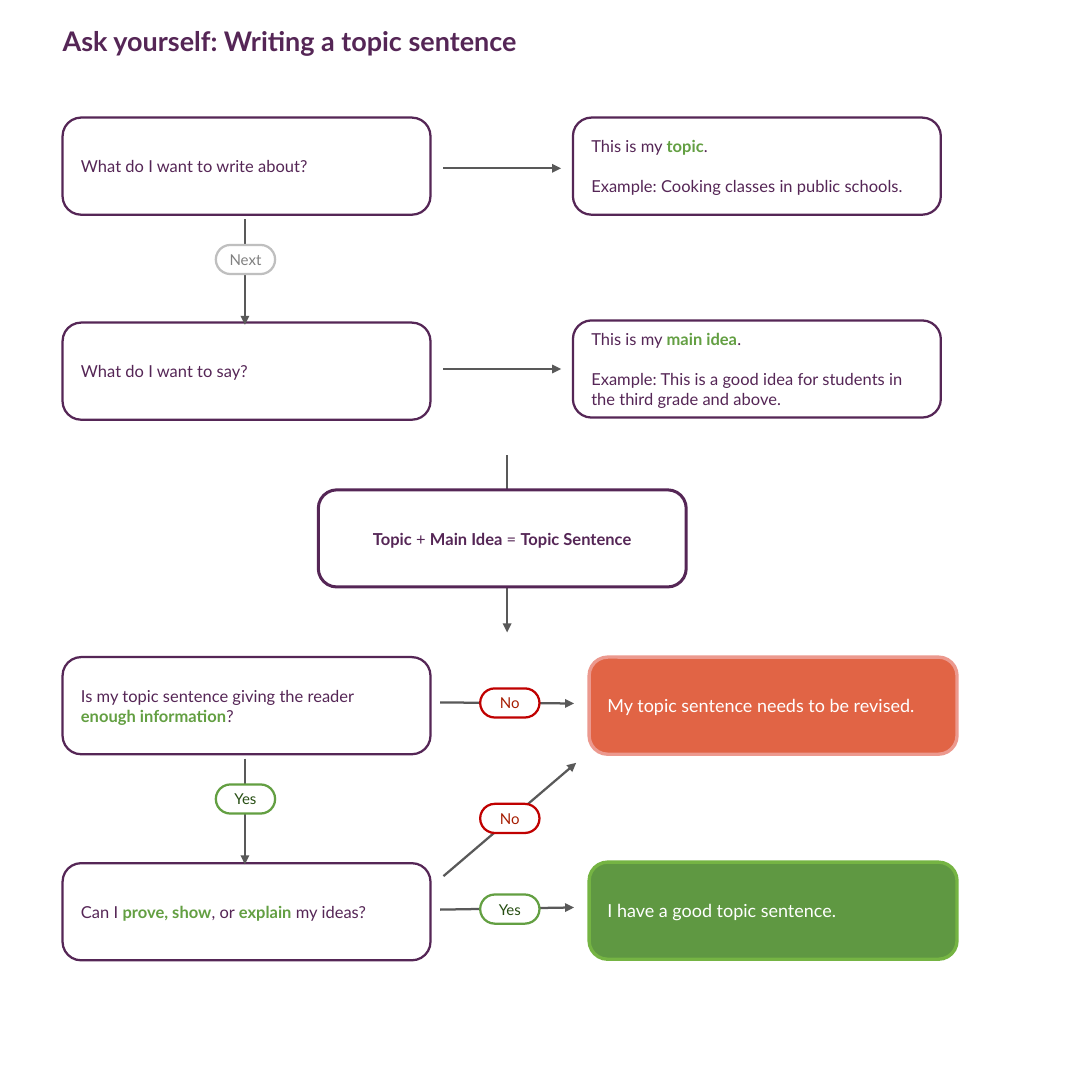
"""Builds a flowchart slide about writing a topic sentence."""
from lxml import etree
from pptx import Presentation
from pptx.dml.color import RGBColor
from pptx.enum.shapes import MSO_CONNECTOR, MSO_SHAPE
from pptx.enum.text import MSO_ANCHOR, PP_ALIGN
from pptx.oxml.ns import qn
from pptx.util import Inches, Pt

ROUNDED = MSO_SHAPE.ROUNDED_RECTANGLE
STRAIGHT = MSO_CONNECTOR.STRAIGHT
MIDDLE = MSO_ANCHOR.MIDDLE
LEFT, CENTER = PP_ALIGN.LEFT, PP_ALIGN.CENTER

FONT = "Lato"
WHITE = RGBColor(0xFF, 0xFF, 0xFF)
PURPLE = RGBColor(0x55, 0x26, 0x56)
GREEN = RGBColor(0x63, 0x9F, 0x42)
DARK_GREEN = RGBColor(0x27, 0x4E, 0x13)
GOOD_FILL = RGBColor(0x5F, 0x98, 0x42)
GOOD_LINE = RGBColor(0x75, 0xB4, 0x43)
REVISE_FILL = RGBColor(0xE1, 0x64, 0x45)
REVISE_LINE = RGBColor(0xEC, 0x99, 0x8E)
RED = RGBColor(0xC0, 0x00, 0x00)
DARK_RED = RGBColor(0xA6, 0x1C, 0x00)
SILVER = RGBColor(0xBF, 0xBF, 0xBF)
GRAY = RGBColor(0x80, 0x80, 0x80)
ARROW_GRAY = RGBColor(0x59, 0x59, 0x59)

BOX_WIDTH, BOX_HEIGHT = 3.41, 0.9
PILL_WIDTH, PILL_HEIGHT = 0.55, 0.27
QUESTION_LEFT, ANSWER_LEFT, RESULT_LEFT = 0.58, 5.31, 5.46
DOWN_X, PILL_LEFT, PILL_RIGHT = 2.27, 2, 4.45
INSET = 0.12

QUESTIONS = [
    (1.09, "What do I want to write about?"),
    (2.99, "What do I want to say?"),
    (6.09, "Is my topic sentence giving the reader *enough information*?"),
    (8, "Can I *prove, show*, or *explain* my ideas?"),
]
ANSWERS = [
    (1.09, ["This is my *topic*.", "Example: Cooking classes in public schools."]),
    (2.97, ["This is my *main idea*.",
            "Example: This is a good idea for students in the third grade and above."]),
]
RESULTS = [
    (6.09, "My topic sentence needs to be revised.", REVISE_FILL, REVISE_LINE),
    (7.99, "I have a good topic sentence.", GOOD_FILL, GOOD_LINE),
]
ARROWS = [
    (4.11, 1.56, 5.2, 1.56),
    (4.11, 3.42, 5.2, 3.42),
    (DOWN_X, 2.03, DOWN_X, 3.01),
    (4.7, 4.22, 4.7, 5.86),
    (DOWN_X, 7.03, DOWN_X, 8.01),
    (4.08, 6.51, 5.32, 6.52),
    (4.11, 8.12, 5.34, 7.07),
    (4.08, 8.43, 5.32, 8.41),
]
NEXT = ("Next", SILVER, GRAY)
YES = ("Yes", GREEN, DARK_GREEN)
NO = ("No", RED, DARK_RED)
PILLS = [
    (PILL_LEFT, 2.27, NEXT),
    (PILL_LEFT, 7.27, YES),
    (PILL_RIGHT, 6.38, NO),
    (PILL_RIGHT, 7.45, NO),
    (PILL_RIGHT, 8.29, YES),
]


def write_text(frame, lines, size, color, accent, align=LEFT, side_inset=INSET):
    """Writes paragraphs whose *starred* parts are bold in the accent colour."""
    frame.word_wrap = True
    frame.margin_left = frame.margin_right = Inches(side_inset)
    frame.margin_top = frame.margin_bottom = Inches(INSET)
    for index, line in enumerate(lines):
        para = frame.add_paragraph() if index else frame.paragraphs[0]
        para.alignment = align
        if index:
            para.space_before = Pt(size * 1.2)
        for position, part in enumerate(line.split("*")):
            if not part:
                continue
            strong = position % 2 == 1
            span = para.add_run()
            span.text = part
            span.font.name = FONT
            span.font.size = Pt(size)
            span.font.bold = strong
            span.font.color.rgb = accent if strong else color


def add_rounded(page, left, top, width, height, corner, fill, line, weight):
    """Adds a rounded outline shape and returns its text frame."""
    box = page.shapes.add_shape(
        ROUNDED, Inches(left), Inches(top), Inches(width), Inches(height))
    box.adjustments[0] = corner
    box.shadow.inherit = False
    box.fill.solid()
    box.fill.fore_color.rgb = fill
    box.line.color.rgb = line
    box.line.width = Pt(weight)
    box.text_frame.vertical_anchor = MIDDLE
    return box.text_frame


def add_box(page, left, top, lines, fill=WHITE, line=PURPLE, weight=1.5,
            size=11, color=PURPLE, accent=GREEN, align=LEFT):
    """Adds one flowchart box."""
    frame = add_rounded(page, left, top, BOX_WIDTH, BOX_HEIGHT, 0.191, fill, line, weight)
    write_text(frame, lines, size, color, accent, align)


def add_pill(page, left, top, label, line, color):
    """Adds a small label that sits on an arrow."""
    frame = add_rounded(page, left, top, PILL_WIDTH, PILL_HEIGHT, 0.5, WHITE, line, 1.5)
    write_text(frame, [label], 10, color, color, CENTER, 0)


def add_arrow(page, *ends):
    """Adds a straight arrow between two points."""
    arrow = page.shapes.add_connector(STRAIGHT, *map(Inches, ends))
    arrow.line.color.rgb = ARROW_GRAY
    arrow.line.width = Pt(1.5)
    etree.SubElement(arrow.line._get_or_add_ln(), qn("a:tailEnd"), type="triangle")
    etree.SubElement(arrow._element.spPr, qn("a:effectLst"))


def add_title(page, text):
    """Adds the slide heading."""
    box = page.shapes.add_textbox(
        Inches(QUESTION_LEFT), Inches(0.11), Inches(6.71), Inches(0.59))
    write_text(box.text_frame, [f"*{text}*"], 18, PURPLE, PURPLE, side_inset=0)


def main():
    """Builds and saves the slide."""
    deck = Presentation()
    deck.slide_width, deck.slide_height = Inches(10), Inches(10.12)
    page = deck.slides.add_slide(deck.slide_layouts[6])

    add_title(page, "Ask yourself: Writing a topic sentence")
    for top, question in QUESTIONS:
        add_box(page, QUESTION_LEFT, top, [question])
    for top, lines in ANSWERS:
        add_box(page, ANSWER_LEFT, top, lines)
    for top, result, fill, line in RESULTS:
        add_box(page, RESULT_LEFT, top, [result], fill, line, 2.25, 12, WHITE)
    for ends in ARROWS:
        add_arrow(page, *ends)
    for left, top, style in PILLS:
        add_pill(page, left, top, *style)
    add_box(page, 2.95, 4.54, ["*Topic* + *Main Idea *= *Topic Sentence*"],
            weight=2, accent=PURPLE, align=CENTER)

    deck.save("out.pptx")


if __name__ == "__main__":
    main()
